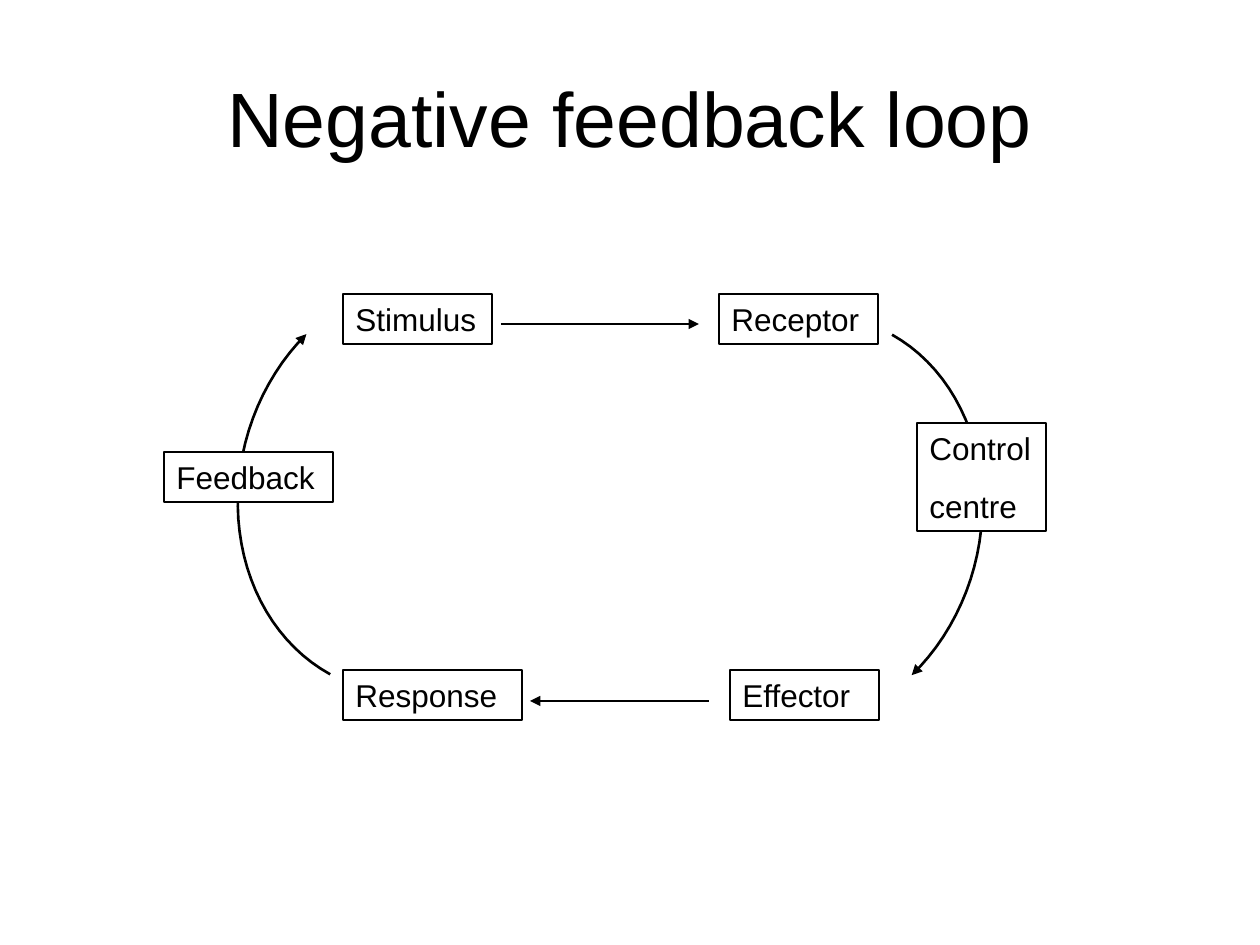
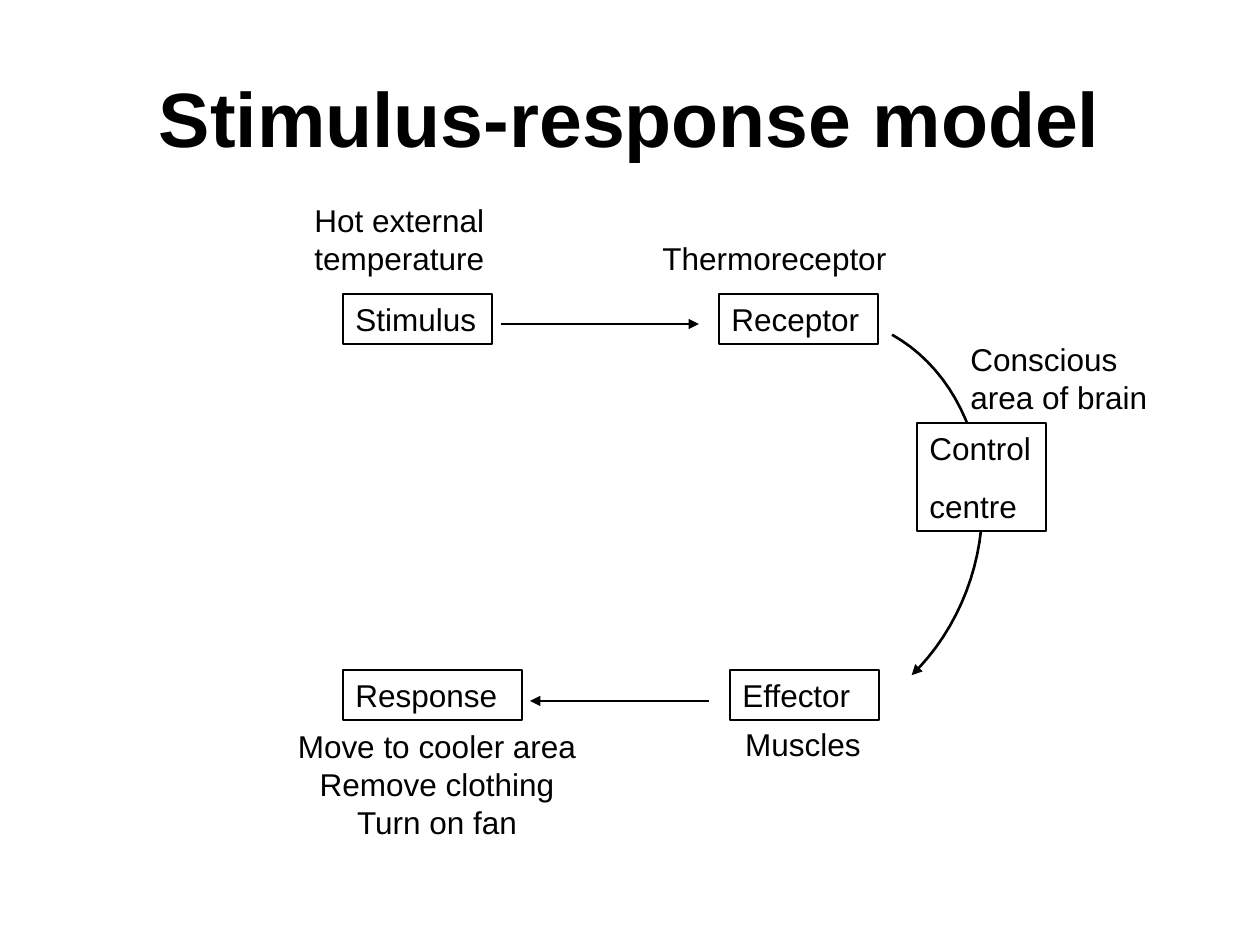
from math import cos, radians, sin

from lxml.etree import SubElement
from pptx import Presentation
from pptx.dml.color import RGBColor
from pptx.enum.shapes import MSO_CONNECTOR, MSO_SHAPE
from pptx.enum.text import MSO_ANCHOR, MSO_AUTO_SIZE, PP_ALIGN
from pptx.oxml.ns import qn
from pptx.util import Emu, Pt

PX = 914400 / 126
FONT = "Arial"
COLORS = {"ink": "000000", "paper": "FFFFFF"}
ARC_RADII = (178, 209)
ARC_ANGLES = (-78.2, 34.4)
ARC_STEPS = 32

LOOP_BOXES = [
    ("Stimulus", (343, 294, 149, 50)),
    ("Response", (343, 670, 179, 50)),
    ("Effector", (730, 670, 149, 50)),
    ("Receptor", (719, 294, 159, 50)),
]
EXAMPLES = [
    ("Hot external temperature", (302, 195, 238, 88), PP_ALIGN.LEFT),
    ("Thermoreceptor", (650, 233, 287, 50), PP_ALIGN.LEFT),
    ("Conscious\varea of brain", (958, 334, 208, 88), PP_ALIGN.LEFT),
    ("Muscles", (699, 719, 208, 50), PP_ALIGN.CENTER),
    ("Move to cooler area\vRemove clothing\vTurn on fan", (263, 721, 348, 126), PP_ALIGN.CENTER),
]


def emu(*lengths):
    """Turn px lengths into EMU."""
    return [Emu(round(length * PX)) for length in lengths]


def color(name):
    """Look up a named colour."""
    return RGBColor.from_string(COLORS[name])


def write_text(shape, text, size=18, bold=False, align=PP_ALIGN.LEFT,
               anchor=MSO_ANCHOR.TOP, auto_size=MSO_AUTO_SIZE.SHAPE_TO_FIT_TEXT):
    """Fill a shape with formatted text, one paragraph a line."""
    frame = shape.text_frame
    frame.text = text
    frame.word_wrap = True
    frame.auto_size = auto_size
    frame.vertical_anchor = anchor
    for index, paragraph in enumerate(frame.paragraphs):
        paragraph.alignment = align
        paragraph.space_before = Pt(11.2 if index else 0)
        paragraph.font.name = FONT
        paragraph.font.size = Pt(size)
        paragraph.font.bold = bold
        paragraph.font.color.rgb = color("ink")


def add_title(slide, text, bold):
    """Place and format the slide title."""
    title = slide.shapes.title
    title.left, title.top, title.width, title.height = emu(63, 38, 1134, 158)
    write_text(title, text, size=44, bold=bold, align=PP_ALIGN.CENTER,
               anchor=MSO_ANCHOR.MIDDLE, auto_size=MSO_AUTO_SIZE.NONE)


def add_box(slide, text, bounds, filled=False):
    """Add an outlined stage box."""
    box = slide.shapes.add_shape(MSO_SHAPE.RECTANGLE, *emu(*bounds))
    box.shadow.inherit = False
    if filled:
        box.fill.solid()
        box.fill.fore_color.rgb = color("paper")
    else:
        box.fill.background()
    box.line.color.rgb = color("ink")
    box.line.width = Pt(0.75)
    write_text(box, text)


def add_label(slide, text, bounds, align):
    """Add a plain text label."""
    write_text(slide.shapes.add_textbox(*emu(*bounds)), text, align=align)


def style_arrow(shape):
    """Give a line its colour, width and arrowhead."""
    shape.line.color.rgb = color("ink")
    shape.line.width = Pt(1.5)
    SubElement(shape.line._get_or_add_ln(), qn("a:tailEnd"), type="triangle")


def add_arrow(slide, start_x, end_x, y):
    """Add a straight horizontal arrow."""
    arrow = slide.shapes.add_connector(MSO_CONNECTOR.STRAIGHT, *emu(start_x, y, end_x, y))
    style_arrow(arrow)
    SubElement(arrow._element.spPr, qn("a:effectLst"))


def add_curved_arrow(slide, center, tilt):
    """Add an arrow along part of a tilted ellipse."""
    start, end = ARC_ANGLES
    turn = radians(tilt)
    points = []
    for step in range(ARC_STEPS + 1):
        angle = radians(start + (end - start) * step / ARC_STEPS)
        x, y = ARC_RADII[0] * cos(angle), ARC_RADII[1] * sin(angle)
        points.append(emu(center[0] + x * cos(turn) - y * sin(turn),
                          center[1] + x * sin(turn) + y * cos(turn)))
    builder = slide.shapes.build_freeform(*points[0], scale=1.0)
    builder.add_line_segments(points[1:], close=False)
    curve = builder.convert_to_shape()
    curve.shadow.inherit = False
    curve.fill.background()
    style_arrow(curve)


def add_model_slide(presentation, title, bold=False):
    """Add a slide with the stages from stimulus to response."""
    slide = presentation.slides.add_slide(presentation.slide_layouts[5])
    add_title(slide, title, bold)
    add_curved_arrow(slide, (802, 522), 15.6)
    for text, bounds in LOOP_BOXES:
        add_box(slide, text, bounds)
    add_arrow(slide, 501, 699, 324)
    add_arrow(slide, 709, 530, 701)
    add_box(slide, "Control\ncentre", (917, 423, 129, 108), filled=True)
    return slide


def main():
    """Build and save both slides."""
    presentation = Presentation()
    presentation.slide_width, presentation.slide_height = emu(1260, 945)

    loop_slide = add_model_slide(presentation, "Negative feedback loop")
    add_curved_arrow(loop_slide, (418, 486), 194.9)
    add_box(loop_slide, "Feedback", (164, 452, 169, 50), filled=True)

    example_slide = add_model_slide(presentation, "Stimulus-response model", bold=True)
    for text, bounds, align in EXAMPLES:
        add_label(example_slide, text, bounds, align)

    presentation.save("out.pptx")


if __name__ == "__main__":
    main()
